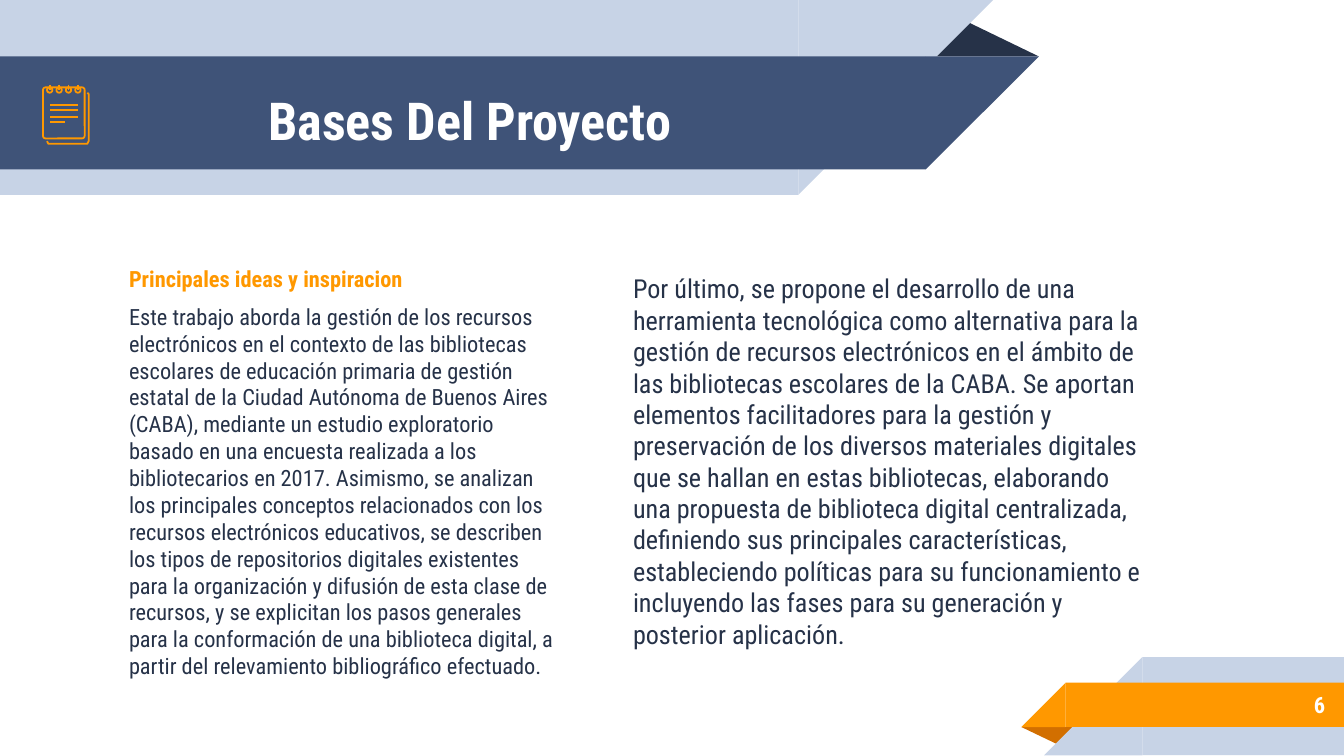
from lxml import etree
from pptx import Presentation
from pptx.dml.color import RGBColor
from pptx.enum import shapes as kinds, text as styles
from pptx.oxml import ns
from pptx.util import Inches, Pt

FONT = "Roboto Condensed"
PALE, NAVY, DARK = "C7D3E6", "3F5378", "263248"
ORANGE, RUST, WHITE = "FF9800", "D26F00", "FFFFFF"

TITLE = "Bases Del Proyecto"
HEADING = "Principales ideas y inspiracion"
SUMMARY = (
    "Este trabajo aborda la gestión de los recursos electrónicos en el contexto de las "
    "bibliotecas escolares de educación primaria de gestión estatal de la Ciudad Autónoma "
    "de Buenos Aires (CABA), mediante un estudio exploratorio basado en una encuesta "
    "realizada a los bibliotecarios en 2017. Asimismo, se analizan los principales conceptos "
    "relacionados con los recursos electrónicos educativos, se describen los tipos de "
    "repositorios digitales existentes para la organización y difusión de esta clase de "
    "recursos, y se explicitan los pasos generales para la conformación de una biblioteca "
    "digital, a partir del relevamiento bibliográfico efectuado."
)
PROPOSAL = (
    "Por último, se propone el desarrollo de una herramienta tecnológica como alternativa "
    "para la gestión de recursos electrónicos en el ámbito de las bibliotecas escolares de "
    "la CABA. Se aportan elementos facilitadores para la gestión y preservación de los "
    "diversos materiales digitales que se hallan en estas bibliotecas, elaborando una "
    "propuesta de biblioteca digital centralizada, definiendo sus principales "
    "características, estableciendo políticas para su funcionamiento e incluyendo las fases "
    "para su generación y posterior aplicación."
)
PAGE_NUMBER = "6"

# Each band: left, top, length of the straight part, height, colour
HEADER_BANDS = [(0, 0, 5.94, 1.45, PALE), (0, 0.42, 6.89, 0.84, NAVY)]
FOOTER_BANDS = [(8.5, 4.89, 1.5, 0.73, PALE), (7.93, 5.08, 2.07, 0.33, ORANGE)]

BACK_PAGE = [(0.35, 1.05), (0.36, 1.07), (0.37, 1.07), (0.65, 1.07),
             (0.66, 1.05), (0.66, 0.7), (0.65, 0.69)]
RINGS = [0.37 + 0.07 * i for i in range(4)]
WRITING = [(0.78, 0.58), (0.82, 0.58), (0.87, 0.58), (0.91, 0.48)]  # y, right end

prs = Presentation()
prs.slide_width = Inches(10)
prs.slide_height = prs.slide_width * 9 // 16
slide = prs.slides.add_slide(prs.slide_layouts[3])


def colour(value):
    return RGBColor.from_string(value)


def add_filled(kind, box, fill, flip=None):
    shape = slide.shapes.add_shape(kind, *map(Inches, box))
    shape.shadow.inherit = False
    shape.fill.solid()
    shape.fill.fore_color.rgb = colour(fill)
    shape.line.fill.background()
    if flip:
        shape.element.spPr.xfrm.set(flip, "1")
    return shape


def add_fold(box, fill, rotation=0):
    fold = add_filled(kinds.MSO_SHAPE.ISOSCELES_TRIANGLE, box, fill)
    fold.adjustments[0] = 0.32
    fold.rotation = rotation


def add_band(left, top, length, height, fill, slant_left, flip):
    """Draw a bar whose end is cut at 45 degrees."""
    add_filled(kinds.MSO_SHAPE.RECTANGLE, (left, top, length, height), fill)
    end = left - height if slant_left else left + length
    add_filled(kinds.MSO_SHAPE.RIGHT_TRIANGLE, (end, top, height, height), fill, flip)


def outline(shape):
    shape.line.color.rgb = colour(ORANGE)
    shape.line.width = Pt(0.96)


def add_outlined(kind, box):
    shape = add_filled(kind, box, ORANGE)
    shape.fill.background()
    outline(shape)
    return shape


def add_stroke(*ends):
    stroke = slide.shapes.add_connector(kinds.MSO_CONNECTOR.STRAIGHT, *map(Inches, ends))
    outline(stroke)
    etree.SubElement(stroke.element.spPr, ns.qn("a:effectLst"))


def write(holder, box, paragraphs, align=styles.PP_ALIGN.LEFT, anchor=styles.MSO_ANCHOR.TOP):
    """Place a text holder and fill it with (text, size, colour, bold) paragraphs."""
    holder.left, holder.top, holder.width, holder.height = map(Inches, box)
    frame = holder.text_frame
    frame.word_wrap = True
    frame.auto_size = styles.MSO_AUTO_SIZE.NONE
    frame.vertical_anchor = anchor
    frame.margin_left = frame.margin_right = Inches(0.1)
    frame.margin_top = frame.margin_bottom = Inches(0.1)
    frame.text = "\n".join(words for words, *_ in paragraphs)
    for i, (paragraph, (_, size, ink, bold)) in enumerate(zip(frame.paragraphs, paragraphs)):
        properties = paragraph._p.get_or_add_pPr()
        properties.set("marL", "0")
        properties.set("indent", "0")
        etree.SubElement(properties, ns.qn("a:buNone"))
        paragraph.alignment = align
        paragraph.space_before = Pt(6 if i else 0)
        for run in paragraph.runs:
            run.font.name, run.font.size, run.font.bold = FONT, Pt(size), bold
            run.font.color.rgb = colour(ink)
    slide.shapes._spTree.append(holder.element)  # in front of the bands


add_fold((6.88, 0.14, 0.85, 0.28), DARK)
for band in HEADER_BANDS:
    add_band(*band, slant_left=False, flip="flipV")
add_fold((7.6, 5.41, 0.43, 0.14), RUST, rotation=180)
for band in FOOTER_BANDS:
    add_band(*band, slant_left=True, flip="flipH")

title, summary, proposal = slide.placeholders
middle = styles.MSO_ANCHOR.MIDDLE
write(title, (0.62, 0.47, 5.75, 0.84), [(TITLE, 28, WHITE, True)],
      styles.PP_ALIGN.CENTER, middle)
write(proposal, (4.61, 1.93, 4, 3.17), [(PROPOSAL, 14, DARK, False)])
write(slide.shapes.add_textbox(0, 0, 0, 0), (8.33, 5.07, 1.63, 0.35),
      [(PAGE_NUMBER, 12, WHITE, True)], styles.PP_ALIGN.RIGHT, middle)
write(summary, (0.86, 1.87, 3.37, 3.28),
      [(HEADING, 12, ORANGE, True), (SUMMARY, 12, DARK, False)])

# Notepad icon
corners = [(Inches(x), Inches(y)) for x, y in BACK_PAGE]
builder = slide.shapes.build_freeform(*corners[0])
builder.add_line_segments(corners[1:], close=False)
back_page = builder.convert_to_shape()
back_page.shadow.inherit = False
back_page.fill.background()
outline(back_page)
front_page = add_outlined(kinds.MSO_SHAPE.ROUNDED_RECTANGLE, (0.32, 0.65, 0.31, 0.38))
front_page.adjustments[0] = 0.06
for y, right in WRITING:
    add_stroke(right, y, 0.37, y)
for x in RINGS:
    add_outlined(kinds.MSO_SHAPE.OVAL, (x - 0.02, 0.65, 0.04, 0.04))
    add_stroke(x, 0.63, x, 0.67)

prs.save("out.pptx")
